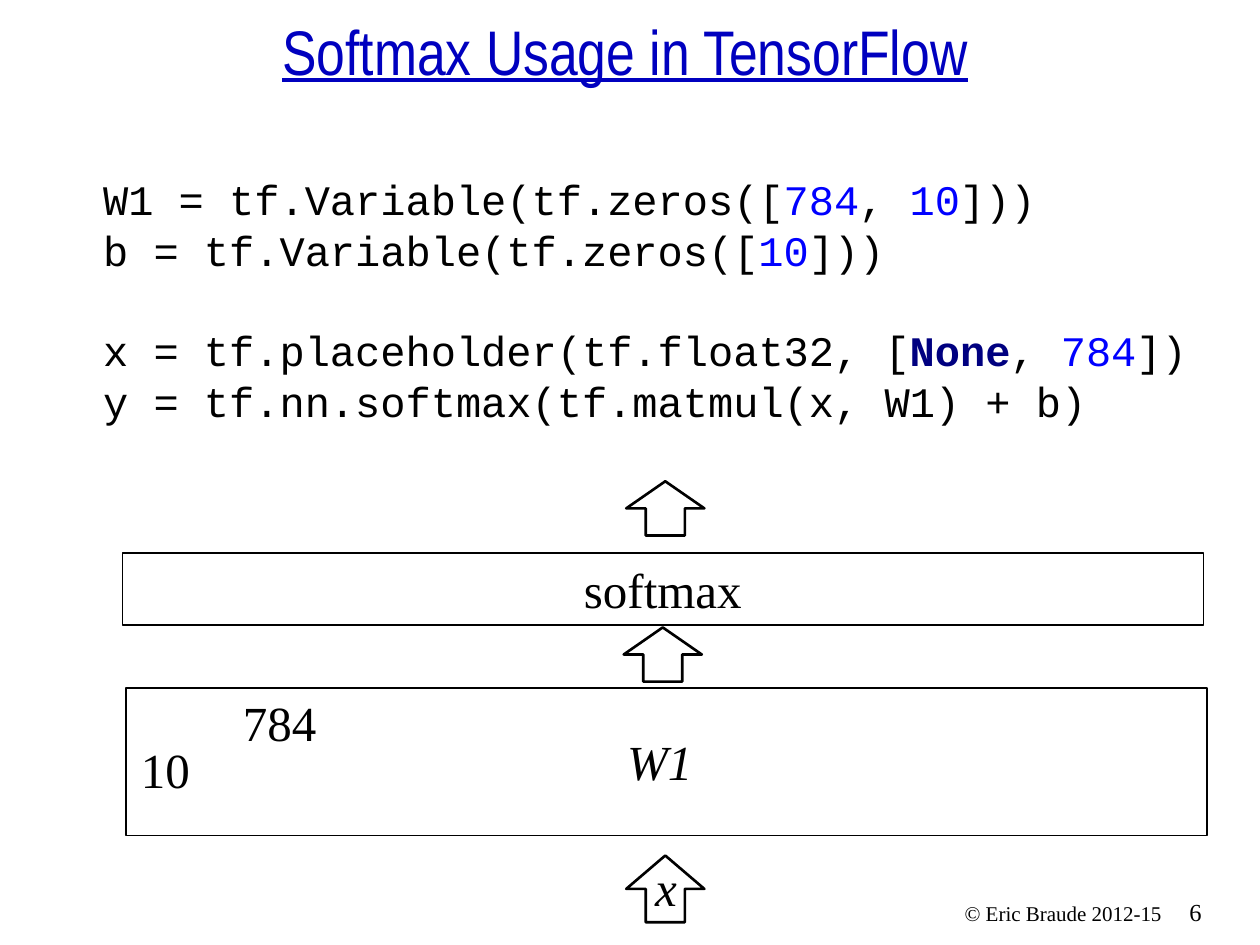
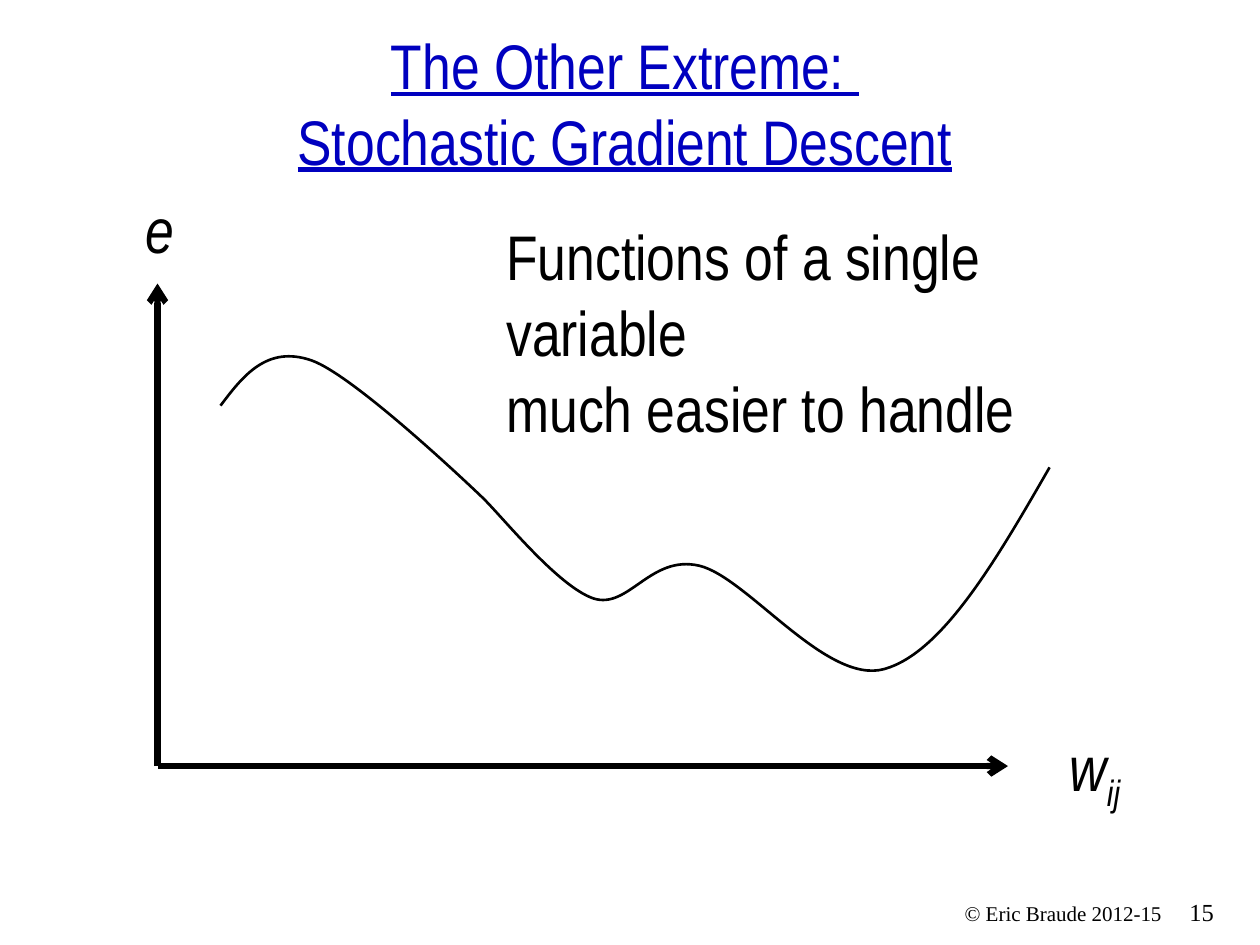
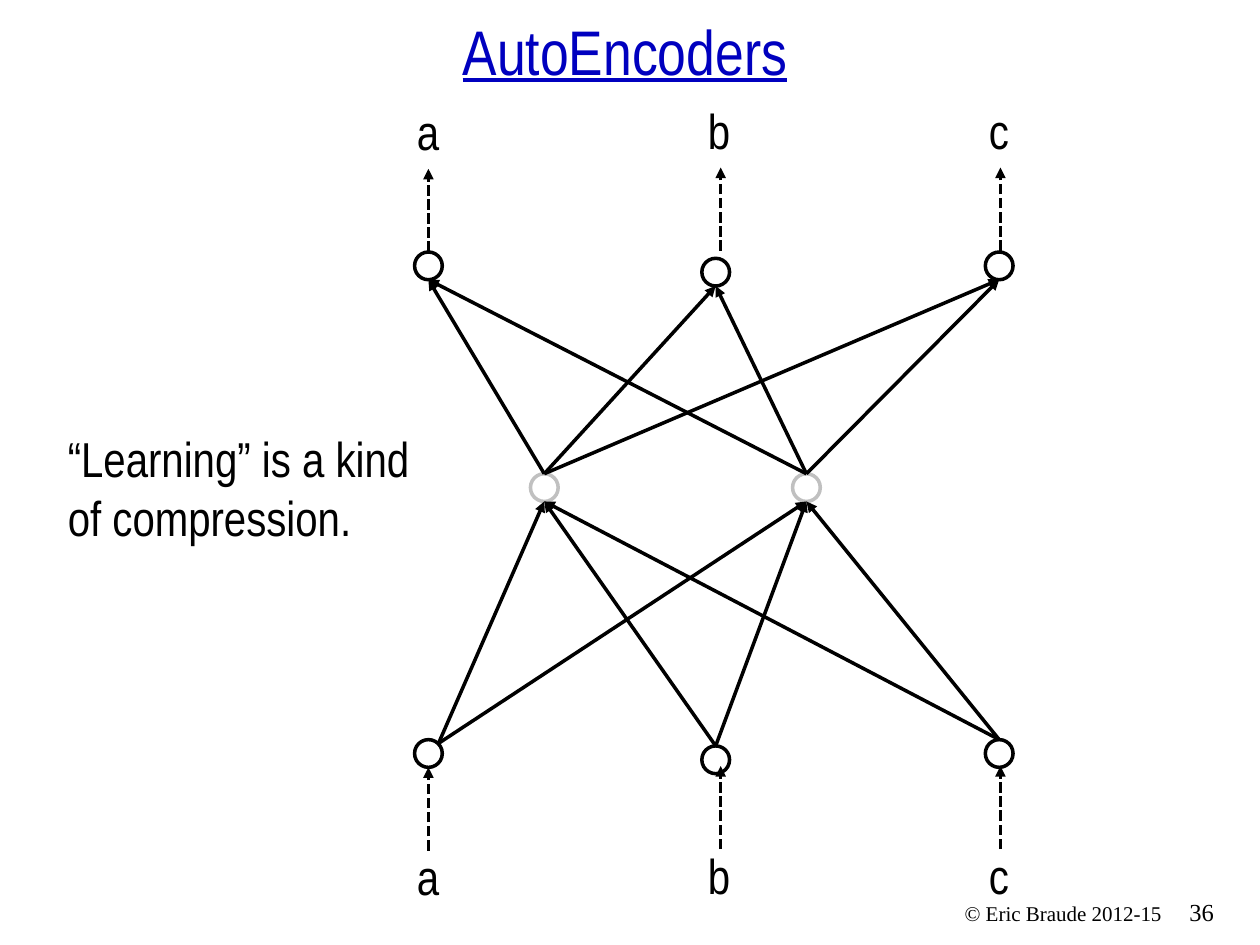
from itertools import product

from lxml import etree
from pptx import Presentation
from pptx.dml.color import RGBColor
from pptx.enum.dml import MSO_LINE_DASH_STYLE as DASH
from pptx.enum.shapes import MSO_CONNECTOR, MSO_SHAPE as SHAPE
from pptx.enum.text import MSO_ANCHOR as ANCHOR, PP_ALIGN as ALIGN
from pptx.oxml.ns import qn
from pptx.util import Inches, Pt

BLACK, WHITE, GREY = "000000", "FFFFFF", "C0C0C0"

SERIF = {"name": "Times New Roman", "size": Pt(28), "color": BLACK}
SERIF_ITALIC = {**SERIF, "italic": True}
NARROW = {"name": "Arial Narrow", "size": Pt(28), "color": BLACK}
LARGE = {**NARROW, "size": Pt(36)}
LARGE_ITALIC = {**LARGE, "italic": True}
TITLE = {**LARGE, "color": "0000BF", "underline": True}
CODE = {"name": "Courier New", "size": Pt(24), "color": BLACK}
NUMBER = {"color": "0000FF"}
KEYWORD = {"color": "000080", "bold": True}
SUBSCRIPT = {"baseline": -25000}


def rgb(hex_color):
    return RGBColor.from_string(hex_color)


def format_run(run, style):
    for name, value in style.items():
        if name == "color":
            run.font.color.rgb = rgb(value)
        elif name == "baseline":
            run._r.get_or_add_rPr().set("baseline", str(value))
        else:
            setattr(run.font, name, value)


def write_text(shape, paragraphs, style, align=ALIGN.LEFT, anchor=ANCHOR.TOP, gap=0):
    """Fill a shape; a paragraph is a string or a list of (text, style changes)."""
    frame = shape.text_frame
    frame.word_wrap = True
    frame.vertical_anchor = anchor
    for index, runs in enumerate(paragraphs):
        paragraph = frame.add_paragraph() if index else frame.paragraphs[0]
        paragraph.alignment = align
        if index and gap:
            paragraph.space_before = Pt(gap)
        for text, changes in [(runs, {})] if isinstance(runs, str) else runs:
            for line_index, line in enumerate(text.split("\n")):
                if line_index:
                    paragraph.add_line_break()
                run = paragraph.add_run()
                run.text = line
                format_run(run, {**style, **changes})


def add_text(slide, box, paragraphs, style, **layout):
    shape = slide.shapes.add_textbox(*map(Inches, box))
    write_text(shape, paragraphs, style, **layout)


def set_outline(shape, fill, line, width):
    shape.shadow.inherit = False
    if fill:
        shape.fill.solid()
        shape.fill.fore_color.rgb = rgb(fill)
    else:
        shape.fill.background()
    if line:
        shape.line.color.rgb = rgb(line)
        shape.line.width = Pt(width)
    else:
        shape.line.fill.background()


def add_shape(slide, kind, box, fill=None, line=BLACK, width=0.75):
    shape = slide.shapes.add_shape(kind, *map(Inches, box))
    set_outline(shape, fill, line, width)
    return shape


def add_arrow(slide, start, end, width=2, head="triangle", dash=None):
    arrow = slide.shapes.add_connector(
        MSO_CONNECTOR.STRAIGHT, *map(Inches, (*start, *end)))
    arrow.line.color.rgb = rgb(BLACK)
    arrow.line.width = Pt(width)
    if dash:
        arrow.line.dash_style = dash
    etree.SubElement(arrow.line._get_or_add_ln(), qn("a:tailEnd"), type=head)
    etree.SubElement(arrow._element.spPr, qn("a:effectLst"))


def add_curve(slide, points, width):
    """Draw cubic curves: a start point, then three points for each curve."""
    start, *controls = [tuple(map(Inches, point)) for point in points]
    builder = slide.shapes.build_freeform(*start)
    builder.add_line_segments(controls, close=False)
    curve = builder.convert_to_shape()
    set_outline(curve, None, BLACK, width)
    outline = next(curve._element.iter(qn("a:path")))
    segments = outline.findall(qn("a:lnTo"))
    for first in range(0, len(segments), 3):
        cubic = etree.SubElement(outline, qn("a:cubicBezTo"))
        for segment in segments[first:first + 3]:
            cubic.append(segment[0])
            outline.remove(segment)


def add_slide(presentation, title, number, title_top=0.21):
    """Add a blank slide with the shared title and footer."""
    slide = presentation.slides.add_slide(presentation.slide_layouts[6])
    add_text(slide, (9.34, 7.07, 0.58, 0.33), [str(number)],
             {**SERIF, "size": Pt(14)})
    add_text(slide, (6.65, 7.1, 2.67, 0.3), ["© Eric Braude 2012-15"],
             {**SERIF, "size": Pt(12)}, align=ALIGN.RIGHT)
    add_text(slide, (0, title_top, 9.92, 0.54), [title], TITLE,
             align=ALIGN.CENTER, anchor=ANCHOR.BOTTOM)
    return slide


def build_softmax(presentation):
    slide = add_slide(presentation, "Softmax Usage in TensorFlow", 6)
    code = add_shape(slide, SHAPE.RECTANGLE, (0.72, 1.33, 9.17, 2.12), WHITE, None)
    variables = [
        ("W1 = tf.Variable(tf.zeros([", {}), ("784", NUMBER), (", ", {}),
        ("10", NUMBER), ("]))\nb = tf.Variable(tf.zeros([", {}),
        ("10", NUMBER), ("]))", {}),
    ]
    model = [
        ("x = tf.placeholder(tf.float32, [", {}), ("None", KEYWORD), (", ", {}),
        ("784", NUMBER), ("])\ny = tf.nn.softmax(tf.matmul(x, W1) + b)", {}),
    ]
    write_text(code, [variables, model], CODE, gap=28.8)

    add_shape(slide, SHAPE.RECTANGLE, (1, 5.46, 8.58, 1.17))
    softmax = add_shape(slide, SHAPE.RECTANGLE, (0.97, 4.39, 8.58, 0.57))
    write_text(softmax, ["softmax"], SERIF, align=ALIGN.CENTER)
    for left, top, height in [(4.97, 6.79, 0.53), (4.95, 4.98, 0.43),
                              (4.97, 3.82, 0.43)]:
        add_shape(slide, SHAPE.UP_ARROW, (left, top, 0.62, height), width=1.5)
    for text, left, top, width, style in [
        ("784", 1.83, 5.45, 0.83, SERIF),
        ("10", 1.02, 5.82, 0.83, SERIF),
        ("W1", 4.88, 5.76, 0.83, SERIF_ITALIC),
        ("x", 5.1, 6.76, 0.38, SERIF_ITALIC),
    ]:
        add_text(slide, (left, top, width, 0.57), [text], style)


def build_gradient_descent(presentation):
    title = "The Other Extreme: \nStochastic Gradient Descent"
    slide = add_slide(presentation, title, 15, title_top=0.92)
    origin = (1.25, 6.08)
    for axis_end in [(8, 6.08), (1.25, 2.25)]:
        add_arrow(slide, origin, axis_end, width=3.5, head="arrow")
    error_curve = [
        (1.75, 3.22),
        (1.93, 2.98), (2.12, 2.74), (2.47, 2.86),
        (2.82, 2.98), (3.82, 3.94), (3.82, 3.94),
        (3.97, 4.08), (4.42, 4.65), (4.71, 4.75),
        (4.99, 4.84), (5.16, 4.4), (5.55, 4.49),
        (5.93, 4.58), (6.56, 5.44), (7.02, 5.31),
        (7.48, 5.18), (7.91, 4.44), (8.33, 3.71),
    ]
    add_curve(slide, error_curve, 1.5)
    add_text(slide, (3.92, 1.68, 4.5, 1.92),
             ["Functions of a single variable", "much easier to handle"], LARGE)
    add_text(slide, (8.39, 5.73, 0.71, 0.71),
             [[("w", {}), ("ij", SUBSCRIPT)]], LARGE_ITALIC)
    add_text(slide, (1.06, 1.46, 0.43, 0.71), ["e"], LARGE_ITALIC)


def add_node(slide, center_x, top, line=BLACK):
    diameter = 0.22
    add_shape(slide, SHAPE.OVAL, (center_x - diameter / 2, top, diameter, diameter),
              WHITE, line, 2)


def build_autoencoder(presentation):
    slide = add_slide(presentation, "AutoEncoders", 36)
    hidden_centers = [4.32, 6.4]
    hidden_top, hidden_bottom = 3.76, 3.98
    outputs = [(3.4, 2.22), (5.68, 2.27), (7.93, 2.22)]
    inputs = [(3.48, 5.9), (5.68, 5.92), (7.93, 5.87)]

    for center, drop in [(3.4, 0), (5.68, 0.05), (7.93, 0)]:
        add_node(slide, center, 2 + drop)
        add_node(slide, center, 5.87 + drop)
    for center in hidden_centers:
        add_node(slide, center, hidden_top, GREY)
    for center, source in product(hidden_centers, inputs):
        add_arrow(slide, source, (center, hidden_bottom))
    for center, target in product(hidden_centers, outputs):
        add_arrow(slide, (center, hidden_top), target)

    for letter, label_left, arrow_x, drop in [
        ("a", 3.21, 3.4, 0.01), ("b", 5.52, 5.72, 0), ("c", 7.75, 7.94, 0),
    ]:
        for label_top, arrow_start in [(0.75, 1.99), (6.66, 6.74)]:
            start = arrow_start + drop
            add_text(slide, (label_left, label_top + drop, 0.42, 0.58),
                     [letter], NARROW)
            add_arrow(slide, (arrow_x, start), (arrow_x, start - 0.66),
                      dash=DASH.SQUARE_DOT)
    add_text(slide, (0.44, 3.35, 3.06, 1.04),
             ["“Learning” is a kind of compression."], NARROW)


def main():
    presentation = Presentation()
    presentation.slide_width = Inches(10)
    presentation.slide_height = Inches(7.5)
    build_softmax(presentation)
    build_gradient_descent(presentation)
    build_autoencoder(presentation)
    presentation.save("out.pptx")


if __name__ == "__main__":
    main()
